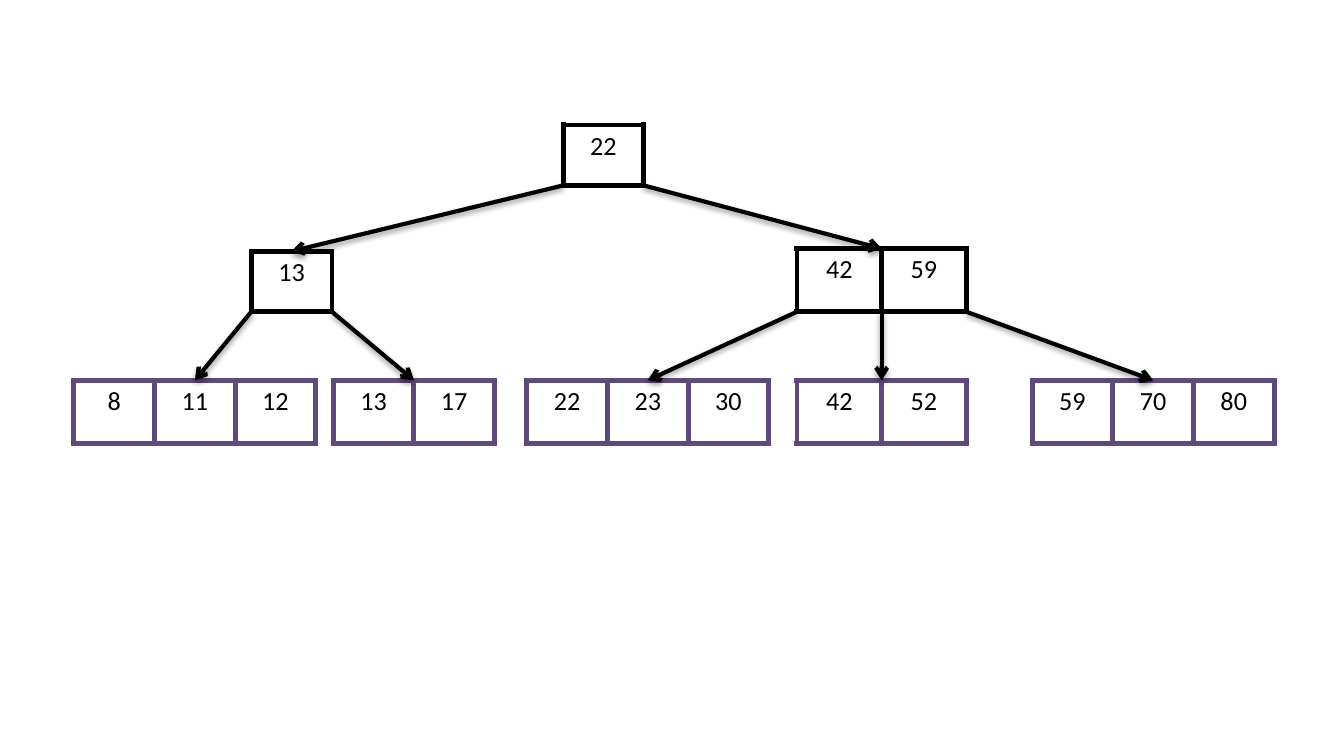
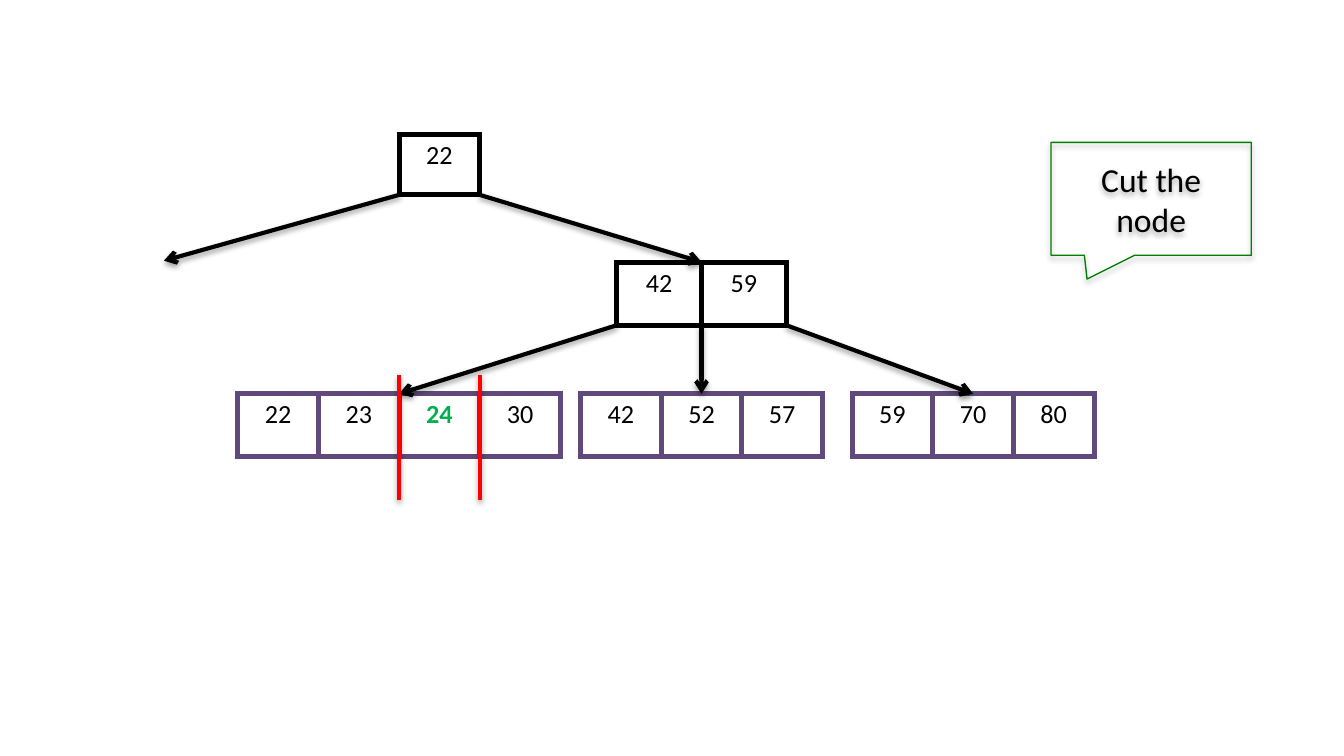
from dataclasses import dataclass
from typing import Optional, Union

from lxml.etree import SubElement
from pptx import Presentation
from pptx.dml.color import RGBColor as RGB
from pptx.enum.shapes import MSO_CONNECTOR as Link, MSO_SHAPE as Preset
from pptx.enum.text import MSO_ANCHOR as Anchor, PP_ALIGN as Align
from pptx.oxml import parse_xml
from pptx.oxml.ns import nsdecls, qn
from pptx.util import Emu, Inches, Pt

COLUMNS = 100
SLIDE_W = Inches(10)
SLIDE_H = Emu(SLIDE_W * 9 // 16)
UNIT = SLIDE_W / COLUMNS


@dataclass(frozen=True)
class Theme:
    font: str = "Calibri"
    key_size: float = 14
    callout_size: float = 18
    ink: str = "000000"
    leaf: str = "604A7B"
    inserted: str = "00B050"
    callout: str = "008000"
    cut: str = "FF0000"
    border_pt: float = 3
    arrow_pt: float = 2.25
    cut_pt: float = 2
    callout_pt: float = 0.75


THEME = Theme()


@dataclass(frozen=True)
class Spot:
    col: float
    row: float

    @property
    def top(self) -> "Spot":
        return self


@dataclass(frozen=True)
class Node:
    keys: tuple[int, ...]
    col: float
    row: float
    cell: float = 6
    height: float = 4.7
    children: tuple[Union["Node", Spot], ...] = ()
    inserted: Optional[int] = None

    @property
    def width(self) -> float:
        return self.cell * len(self.keys)

    @property
    def top(self) -> Spot:
        return Spot(self.col + self.width / 2, self.row)

    def exit(self, i: int) -> Spot:
        share = i / (len(self.children) - 1)
        return Spot(self.col + self.width * share, self.row + self.height)


def grid(units: float) -> Emu:
    return Emu(round(units * UNIT))


def add_shadow(s, alpha: int, dist: float) -> None:
    s._element.spPr.append(parse_xml(
        f'<a:effectLst {nsdecls("a")}>'
        f'<a:outerShdw blurRad="{Pt(3.1)}" dist="{Pt(dist)}" dir="5400000" rotWithShape="0">'
        f'<a:srgbClr val="{THEME.ink}"><a:alpha val="{alpha * 1000}"/></a:srgbClr>'
        '</a:outerShdw></a:effectLst>'))


def style_run(r, size: float, color: str, bold: bool = False) -> None:
    r.font.name = THEME.font
    r.font.size = Pt(size)
    r.font.bold = bold
    r.font.color.rgb = RGB.from_string(color)


def add_line(slide, start: Spot, end: Spot, color: str, width: float, arrow: bool = False) -> None:
    s = slide.shapes.add_connector(
        Link.STRAIGHT, grid(start.col), grid(start.row), grid(end.col), grid(end.row))
    s.line.color.rgb = RGB.from_string(color)
    s.line.width = Pt(width)
    if arrow:
        SubElement(s.line._get_or_add_ln(), qn("a:tailEnd"), type="arrow")
    add_shadow(s, 38, 1.6)


def add_borders(cell, color: str) -> None:
    tc_pr = cell._tc.get_or_add_tcPr()
    for i, side in enumerate("LRTB"):
        tc_pr.insert(i, parse_xml(
            f'<a:ln{side} {nsdecls("a")} w="{Pt(THEME.border_pt)}">'
            f'<a:solidFill><a:srgbClr val="{color}"/></a:solidFill></a:ln{side}>'))


def add_keys(slide, node: Node) -> None:
    table = slide.shapes.add_table(
        1, len(node.keys), grid(node.col), grid(node.row), grid(node.width), grid(node.height)).table
    table.first_row = table.horz_banding = False
    for i, key in enumerate(node.keys):
        table.columns[i].width = grid(node.cell)
        cell = table.cell(0, i)
        cell.fill.background()
        cell.margin_left = cell.margin_right = Inches(0.1)
        cell.margin_top = cell.margin_bottom = Inches(0.04)
        add_borders(cell, THEME.ink if node.children else THEME.leaf)
        p = cell.text_frame.paragraphs[0]
        p.text = str(key)
        p.alignment = Align.CENTER
        new = key == node.inserted
        style_run(p.runs[0], THEME.key_size, THEME.inserted if new else THEME.ink, new)


def add_tree(slide, node: Node) -> None:
    add_keys(slide, node)
    for child in node.children:
        if isinstance(child, Node):
            add_tree(slide, child)
    for i, child in enumerate(node.children):
        add_line(slide, node.exit(i), child.top, THEME.ink, THEME.arrow_pt, arrow=True)


def add_cuts(slide, node: Node) -> None:
    before = node.keys.index(node.inserted)
    for edge in (before, before + 1):
        col = node.col + edge * node.cell
        add_line(slide, Spot(col, 37.2), Spot(col, 27.9), THEME.cut, THEME.cut_pt)


def add_callout(slide, text: str, col: float, row: float, width: float, height: float) -> None:
    s = slide.shapes.add_shape(
        Preset.RECTANGULAR_CALLOUT, grid(col), grid(row), grid(width), grid(height))
    s.adjustments[0], s.adjustments[1] = -0.32, 0.71
    s.fill.background()
    s.line.color.rgb = RGB.from_string(THEME.callout)
    s.line.width = Pt(THEME.callout_pt)
    add_shadow(s, 35, 1.8)
    tf = s.text_frame
    tf.word_wrap = True
    tf.vertical_anchor = Anchor.MIDDLE
    tf.text = text
    p = tf.paragraphs[0]
    p.alignment = Align.CENTER
    style_run(p.runs[0], THEME.callout_size, THEME.ink)


def build_full_tree(prs) -> None:
    row = 28.3
    left = Node((13,), 18.7, 18.7, height=4.5, children=(
        Node((8, 11, 12), 5.5, row), Node((13, 17), 24.8, row)))
    right = Node((42, 59), 59.3, 18.5, cell=6.3, children=(
        Node((22, 23, 30), 39.2, row),
        Node((42, 52), 59.3, row, cell=6.3),
        Node((59, 70, 80), 76.8, row)))
    slide = prs.slides.add_slide(prs.slide_layouts[6])
    add_tree(slide, Node((22,), 41.9, 9.3, height=4.5, children=(left, right)))


def build_node_cut(prs) -> None:
    row = 29.3
    overfull = Node((22, 23, 24, 30), 17.7, row, inserted=24)
    right = Node((42, 59), 45.9, 19.5, cell=6.3, children=(
        overfull, Node((42, 52, 57), 43.2, row), Node((59, 70, 80), 63.4, row)))
    slide = prs.slides.add_slide(prs.slide_layouts[6])
    add_tree(slide, Node((22,), 29.7, 10, height=4.5, children=(Spot(12.2, 19.4), right)))
    add_cuts(slide, overfull)
    add_callout(slide, "Cut the node", 78.2, 10.6, 14.9, 8.4)


def main() -> None:
    prs = Presentation()
    prs.slide_width, prs.slide_height = SLIDE_W, SLIDE_H
    build_full_tree(prs)
    build_node_cut(prs)
    prs.save("out.pptx")


if __name__ == "__main__":
    main()
